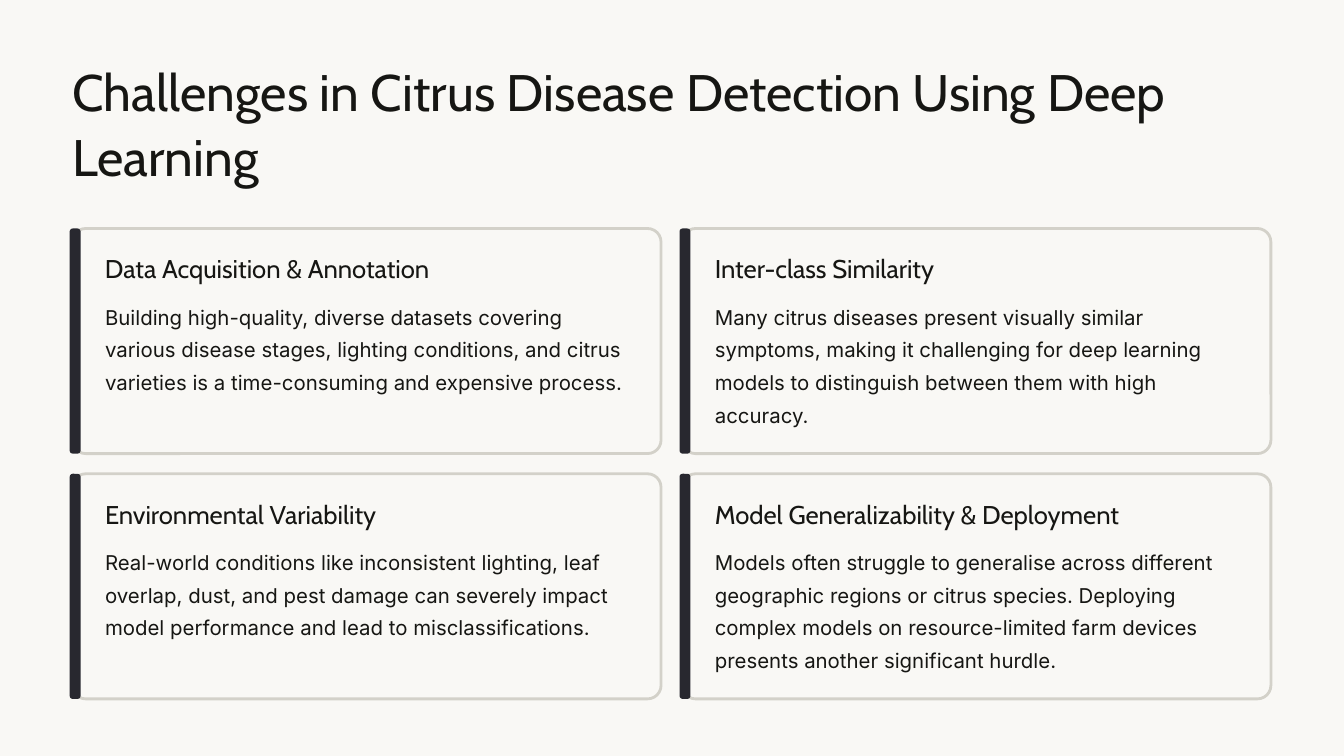
"""Builds the slide on challenges in citrus disease detection."""
from pptx import Presentation
from pptx.dml.color import RGBColor
from pptx.enum import shapes, text
from pptx.util import Inches, Pt

TITLE = "Challenges in Citrus Disease Detection Using Deep Learning"
CHALLENGES = [
    {"heading": "Data Acquisition & Annotation", "heading_width": 4.4, "detail_height": 1.19,
     "detail": "Building high-quality, diverse datasets covering various disease stages, lighting "
               "conditions, and citrus varieties is a time-consuming and expensive process."},
    {"heading": "Inter-class Similarity", "heading_width": 3.09, "detail_height": 1.58,
     "detail": "Many citrus diseases present visually similar symptoms, making it challenging for "
               "deep learning models to distinguish between them with high accuracy."},
    {"heading": "Environmental Variability", "heading_width": 3.62, "detail_height": 1.19,
     "detail": "Real-world conditions like inconsistent lighting, leaf overlap, dust, and pest "
               "damage can severely impact model performance and lead to misclassifications."},
    {"heading": "Model Generalizability & Deployment", "heading_width": 5.4, "detail_height": 1.58,
     "detail": "Models often struggle to generalise across different geographic regions or citrus "
               "species. Deploying complex models on resource-limited farm devices presents "
               "another significant hurdle."},
]
COLORS = {"paper": "F9F8F5", "border": "D3D1C9", "accent": "28282F", "ink": "161613"}

LEFT, TOP = 0.86, 2.72
CARD_WIDTH, CARD_HEIGHT = 7.01, 2.68
COLUMN_STEP, ROW_STEP = 7.26, 2.92


def color(name):
    return RGBColor.from_string(COLORS[name])


def add_panel(slide, x, y, width, rounding, fill, border=None):
    panel = slide.shapes.add_shape(shapes.MSO_SHAPE.ROUNDED_RECTANGLE, Inches(x), Inches(y),
                                   Inches(width), Inches(CARD_HEIGHT))
    panel.adjustments[0] = rounding
    panel.shadow.inherit = False
    panel.fill.solid()
    panel.fill.fore_color.rgb = color(fill)
    if border:
        panel.line.color.rgb = color(border)
        panel.line.width = Pt(2.4)
    else:
        panel.line.fill.background()


def add_words(slide, words, x, y, width, height, font, size, spacing):
    frame = slide.shapes.add_textbox(Inches(x), Inches(y), Inches(width), Inches(height)).text_frame
    frame.margin_left = frame.margin_right = frame.margin_top = frame.margin_bottom = 0
    frame.word_wrap = True
    frame.vertical_anchor = text.MSO_ANCHOR.TOP
    paragraph = frame.paragraphs[0]
    paragraph.text = words
    paragraph.line_spacing = Pt(spacing)
    paragraph.font.name = font
    paragraph.font.size = Pt(size)
    paragraph.font.color.rgb = color("ink")


def add_challenge(slide, challenge, x, y):
    add_panel(slide, x, y, CARD_WIDTH, 0.06, "paper", "border")
    add_panel(slide, x - 0.03, y, 0.13, 0.278, "accent")
    add_words(slide, challenge["heading"], x + 0.39, y + 0.28, challenge["heading_width"], 0.39,
              "Cabin", 22, 27.5)
    add_words(slide, challenge["detail"], x + 0.39, y + 0.81, 6.35, challenge["detail_height"],
              "Inter", 17.5, 28)


def main():
    deck = Presentation()
    deck.slide_width, deck.slide_height = Inches(16), Inches(9)
    slide = deck.slides.add_slide(deck.slide_layouts[6])
    slide.background.fill.solid()
    slide.background.fill.fore_color.rgb = color("paper")
    add_words(slide, TITLE, LEFT, 0.68, 14.27, 1.54, "Cabin", 44, 55.5)
    for index, challenge in enumerate(CHALLENGES):
        row, column = divmod(index, 2)
        add_challenge(slide, challenge, LEFT + column * COLUMN_STEP, TOP + row * ROW_STEP)
    deck.save("out.pptx")


if __name__ == "__main__":
    main()
